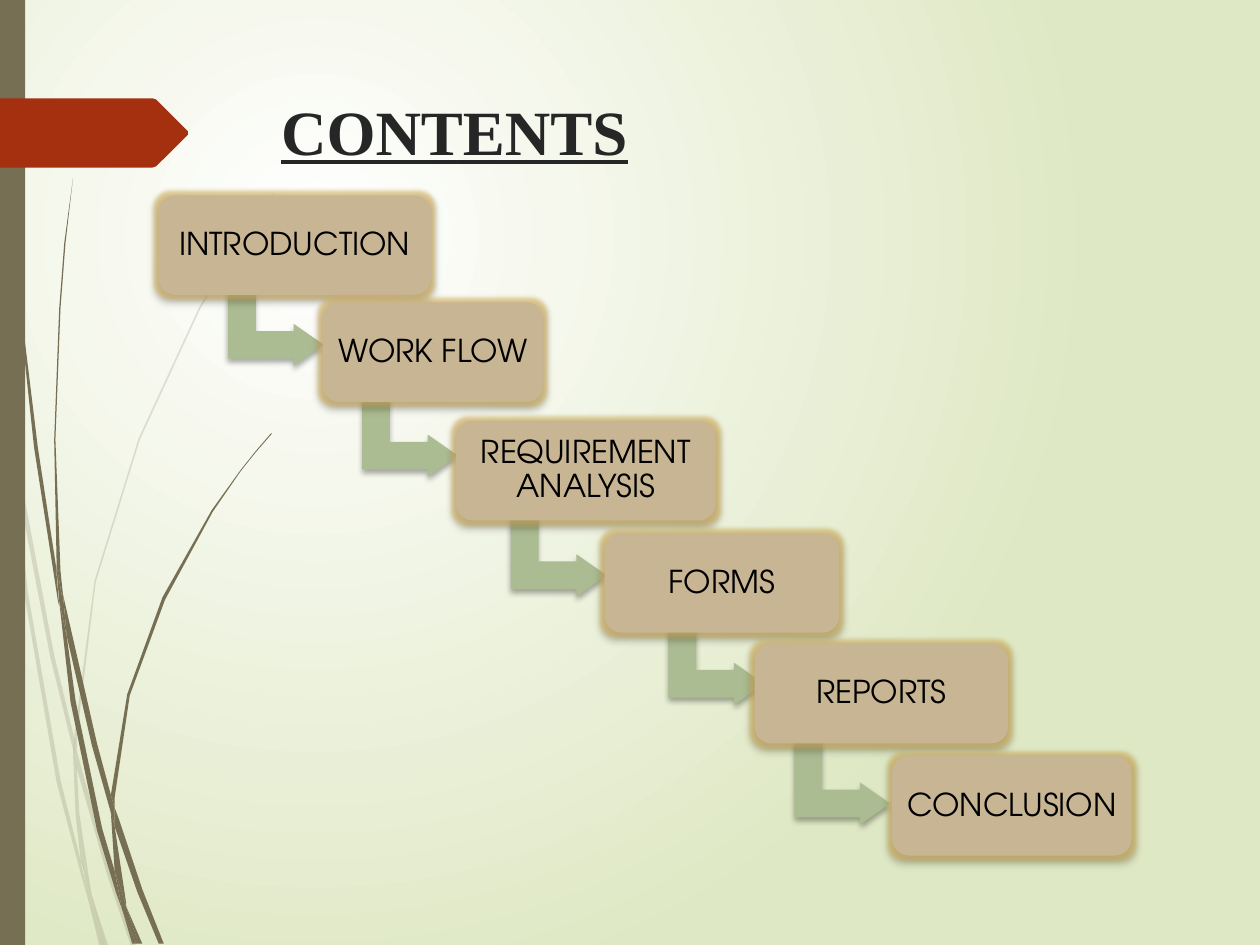
import pptx
import pptx.dml.color
import pptx.enum.shapes
import pptx.enum.text
import pptx.oxml
import pptx.oxml.ns
import pptx.util

Pt = pptx.util.Pt
SHAPES = pptx.enum.shapes.MSO_SHAPE
ALIGN = pptx.enum.text.PP_ALIGN
ANCHOR = pptx.enum.text.MSO_ANCHOR


class Theme:
    stem, ribbon = "766F54", "A53010"
    step, arrow, glow = "C8B594", "ACBC92", "D6B25E"
    glow_center, glow_edge = "FFFFFF", "DFE8C4"
    title_text, step_text = "262626", "000000"
    title_font, step_font = "Times New Roman", "TeX Gyre Adventor"
    title_size, step_size = Pt(36), Pt(18)


# Outline corners as x y pairs, in hundredths of an inch (0.72 pt).
OUTLINE_UNIT = Pt(0.72)
PALE_STEMS = [
    "8 350 6 322 0 282 0 299 7 344",
    "40 522 59 599 59 586 43 520 10 345 12 376",
    "64 607 61 596 61 610 85 694 104 751 108 751 88 692",
    "83 751 86 751 73 711",
    "64 683 48 619 22 469 12 376 8 350 19 470 45 621 64 693 70 714 69 707",
    "58 599 60 646 64 683 67 692 73 711 72 706 63 646 61 610 61 608",
    "61 584 76 462 111 349 159 245 187 198 201 175 217 154 217 153 201 175 186 197"
    " 158 244 110 348 75 461 59 584 59 586 61 596",
    "70 714 79 751 82 751",
    "61 608 61 610 61 596 59 586 58 599",
    "67 692 65 683 69 707 70 714 82 751 83 751 73 711",
]
DARK_STEMS = [
    "5 110 14 233 27 355 46 477 47 481 45 457 45 453 30 355 15 232 6 109 4 48 3 0"
    " 2 0 3 48",
    "73 592 88 645 88 633 88 631 77 590 50 472 53 505",
    "94 649 91 641 91 656 109 708 126 749 130 749 113 706",
    "91 691 81 657 60 556 53 505 47 477 56 557 77 659 92 708 97 722 96 717",
    "50 472 48 453 44 349 48 245 52 193 58 141 57.5 141 51 193 47 245 43 349 45 449"
    " 49 472",
    "110 749 113 749 100 719",
    "47 477 53 505 50 472 49 472 45 449 45 453",
    "91 633 103 552 131 476 169 406 191 374 203 359 216 344 215 344 203 358 191 373"
    " 168 405 129 474 101 551 88 631 91 641",
    "97 722 105 749 108 749",
    "88 645 91 691 96 706 100 719 100 716 91 656 90 651",
    "88 645 90 651 91 656 91 641 88 631 88 633",
    "96 706 91 691 96 717 97 722 108 749 110 749 100 719",
]
RIBBON = "149 107 124 132 121 133 0 133 0 78 121 78 124 79 149 104"

# Label, box left, top and width, then the left and top of the arrow that leaves it.
STEPS = [
    ("INTRODUCTION", (90.7, 111.6, 155.5), (133.6, 157.7)),
    ("WORK FLOW", (184.3, 172.8, 126), (210.2, 221)),
    ("REQUIREMENT ANALYSIS", (260.6, 240.5, 148.3), (295.2, 289.4)),
    ("FORMS", (345.6, 304.6, 133.9), (385.2, 351.4)),
    ("REPORTS", (431.3, 367.9, 144.7), (457.2, 419.8)),
    ("CONCLUSION", (509.8, 432, 136.8), None),
]
STEP_HEIGHT, ARROW_WIDTH, ARROW_HEIGHT, LABEL_MARGIN = 56.9, 48.2, 54.7, 2.7


def rgb(code):
    return pptx.dml.color.RGBColor.from_string(code)


def xml(text):
    return pptx.oxml.parse_xml(text.replace(" ", f" {pptx.oxml.ns.nsdecls('a')} ", 1))


def apply(target, values):
    for name, value in values.items():
        setattr(target, name, value)


def paint(shape, color, opacity=100):
    shape.shadow.inherit = False
    shape.fill.solid()
    shape.fill.fore_color.rgb = rgb(color)
    shape.line.fill.background()
    if opacity < 100:
        swatch = shape._element.spPr.find(".//" + pptx.oxml.ns.qn("a:srgbClr"))
        swatch.append(xml(f'<a:alpha val="{opacity * 1000}"/>'))


def add_effects(shape, glow=None):
    effects = shape._element.spPr.find(pptx.oxml.ns.qn("a:effectLst"))
    if glow:
        effects.append(xml(f'<a:glow rad="{Pt(5)}"><a:srgbClr val="{glow}">'
                           '<a:alpha val="60000"/></a:srgbClr></a:glow>'))
    effects.append(xml(
        f'<a:outerShdw blurRad="{Pt(3.5)}" dist="{Pt(2.2)}" dir="5400000" rotWithShape="0">'
        '<a:srgbClr val="000000"><a:alpha val="32000"/></a:srgbClr></a:outerShdw>'))


def add_outline(shapes, corners, color, opacity=100):
    numbers = [float(number) for number in corners.split()]
    points = list(zip(numbers[::2], numbers[1::2]))
    builder = shapes.build_freeform(*points[0], scale=OUTLINE_UNIT)
    builder.add_line_segments(points[1:], close=True)
    paint(builder.convert_to_shape(), color, opacity)


def fill_background(page):
    fill = page.background.fill
    fill.gradient()
    for stop, color in zip(fill.gradient_stops, (Theme.glow_center, Theme.glow_edge)):
        stop.color.rgb = rgb(color)
    gradient = page._element.find(".//" + pptx.oxml.ns.qn("a:gradFill"))
    direction = gradient.find(pptx.oxml.ns.qn("a:lin"))
    gradient.replace(direction, xml(
        '<a:path path="circle"><a:fillToRect l="50000" t="50000" r="100000" b="100000"/></a:path>'))


def add_side_decoration(page, left, top, width, height):
    for outlines, opacity in ((PALE_STEMS, 20), (DARK_STEMS, 100)):
        group = page.shapes.add_group_shape()
        for corners in outlines:
            add_outline(group.shapes, corners, Theme.stem, opacity)
    bar = page.shapes.add_shape(SHAPES.RECTANGLE, Pt(left), Pt(top), Pt(width), Pt(height))
    paint(bar, Theme.stem)
    add_outline(page.shapes, RIBBON, Theme.ribbon)


def set_title(page, text, left, top, width, height):
    title = page.shapes.title
    apply(title, dict(left=Pt(left), top=Pt(top), width=Pt(width), height=Pt(height)))
    apply(title.text_frame, dict(text=text, word_wrap=True, vertical_anchor=ANCHOR.TOP,
                                 auto_size=pptx.enum.text.MSO_AUTO_SIZE.NONE))
    para = title.text_frame.paragraphs[0]
    para.alignment = ALIGN.LEFT
    span = para.runs[0]
    apply(span.font, dict(name=Theme.title_font, size=Theme.title_size, bold=True, underline=True))
    span.font.color.rgb = rgb(Theme.title_text)


def add_arrow(shapes, left, top):
    arrow = shapes.add_shape(SHAPES.BENT_UP_ARROW, Pt(left), Pt(top),
                             Pt(ARROW_WIDTH), Pt(ARROW_HEIGHT))
    arrow.rotation = 90
    for index, value in enumerate((0.328, 0.25, 0.358)):
        arrow.adjustments[index] = value
    paint(arrow, Theme.arrow)
    add_effects(arrow)


def add_step(shapes, text, left, top, width, height):
    box = shapes.add_shape(SHAPES.ROUNDED_RECTANGLE, Pt(left), Pt(top), Pt(width), Pt(height))
    paint(box, Theme.step)
    add_effects(box, Theme.glow)
    label = shapes.add_textbox(Pt(left + LABEL_MARGIN), Pt(top + LABEL_MARGIN),
                               Pt(width - 2 * LABEL_MARGIN), Pt(height - 2 * LABEL_MARGIN))
    frame = label.text_frame
    apply(frame, dict(text=text, word_wrap=True, vertical_anchor=ANCHOR.MIDDLE))
    apply(frame, {f"margin_{side}": Pt(5) for side in ("left", "top", "right", "bottom")})
    para = frame.paragraphs[0]
    apply(para, dict(alignment=ALIGN.CENTER, line_spacing=0.9, space_after=Pt(6.3)))
    span = para.runs[0]
    apply(span.font, dict(name=Theme.step_font, size=Theme.step_size))
    span.font.color.rgb = rgb(Theme.step_text)


def add_staircase(page, steps):
    shapes = page.shapes.add_group_shape().shapes
    for text, (left, top, width), arrow in steps:
        if arrow:
            add_arrow(shapes, *arrow)
        add_step(shapes, text, left, top, width, STEP_HEIGHT)


def main():
    deck = pptx.Presentation()
    apply(deck, dict(slide_width=Pt(720), slide_height=Pt(540)))
    page = deck.slides.add_slide(deck.slide_layouts.get_by_name("Title Only"))
    fill_background(page)
    add_side_decoration(page, 0, 0, 14.4, 540)
    set_title(page, "CONTENTS", 153.4, 49, 519.1, 100.8)
    add_staircase(page, STEPS)
    deck.save("out.pptx")


if __name__ == "__main__":
    main()
